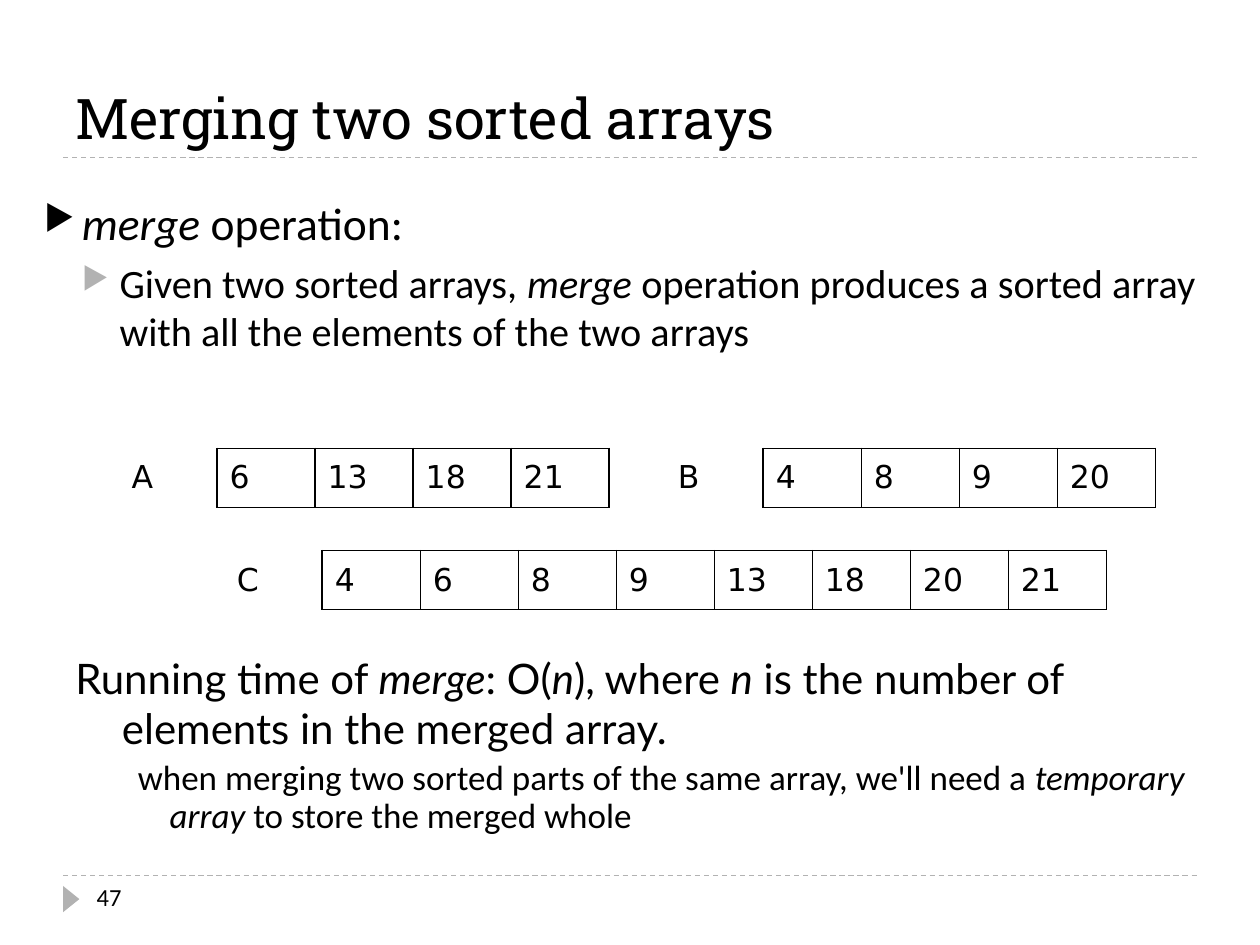
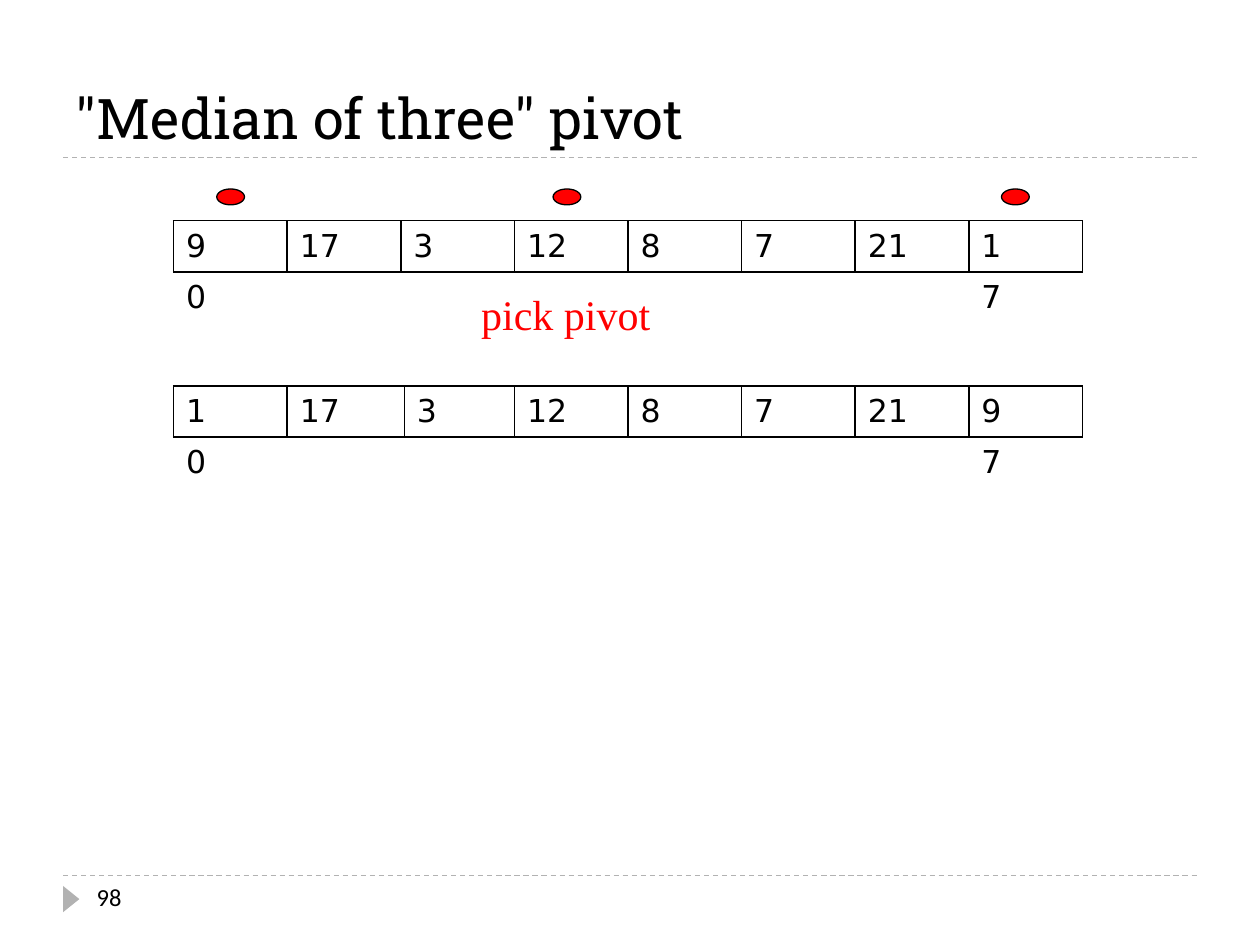
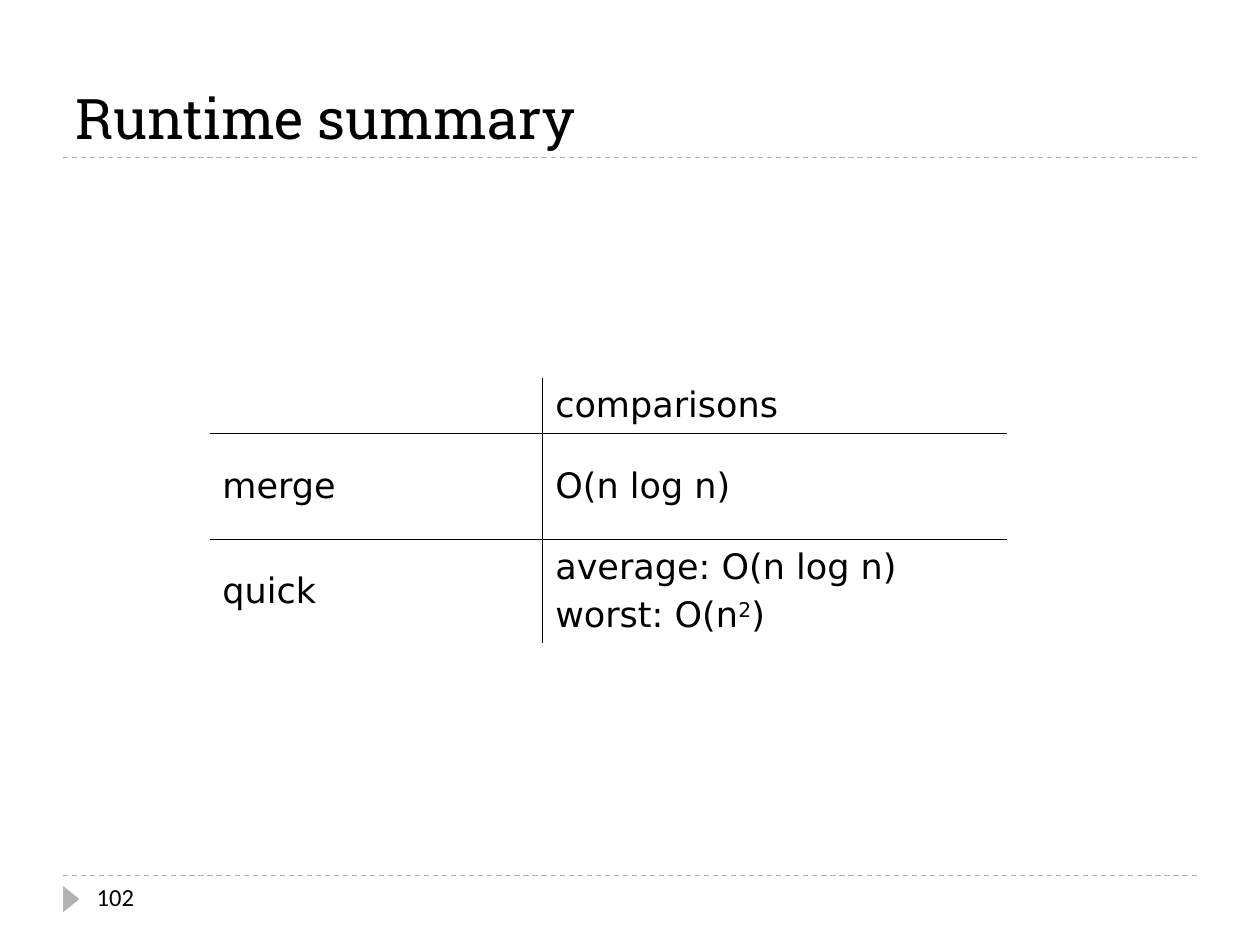
import pptx
import pptx.dml.color
import pptx.enum.dml
import pptx.enum.shapes
import pptx.enum.text
import pptx.oxml
import pptx.oxml.ns
import pptx.util
from pptx.util import Cm

BLACK = "000000"
GREY = "B2B2B2"
RED = "FF0000"
TITLE_FONT = "Roboto Slab"
BODY_FONT = "Calibri"
TABLE_FONT = "DejaVu Sans"
RULE_LEFT, RULE_RIGHT = 1.27, 24.13
TITLE_RULE, FOOTER_RULE = 3.18, 17.65
ALL_SIDES = "LRTB"


def color(hex_string):
    return pptx.dml.color.RGBColor.from_string(hex_string)


def element(xml):
    """Parse a drawing element written with the a: prefix."""
    head, mark, tail = xml.partition(">")
    if head.endswith("/"):
        head, mark = head[:-1], "/>"
    return pptx.oxml.parse_xml(f"{head} {pptx.oxml.ns.nsdecls('a')}{mark}{tail}")


def write_runs(paragraph, marked_text, size, font=BODY_FONT, hex_string=BLACK):
    """Write text in which *stars* enclose italics and ^carets^ a superscript."""
    for i, part in enumerate(marked_text.split("*")):
        for j, piece in enumerate(part.split("^")):
            if not piece:
                continue
            run = paragraph.add_run()
            run.text = piece
            run.font.name = font
            run.font.size = pptx.util.Pt(size)
            run.font.color.rgb = color(hex_string)
            run.font.italic = i % 2 == 1
            if j % 2:
                run.font._element.set("baseline", "30000")


def add_text_box(slide, left, top, width, height, wrap=True):
    text_frame = slide.shapes.add_textbox(
        Cm(left), Cm(top), Cm(width), Cm(height)).text_frame
    text_frame.word_wrap = wrap
    return text_frame


def indent(paragraph, margin, hanging):
    properties = paragraph._p.get_or_add_pPr()
    properties.set("marL", str(Cm(margin)))
    properties.set("indent", str(-Cm(hanging)))


def add_bullet(paragraph, hex_string):
    properties = paragraph._p.get_or_add_pPr()
    for xml in (f'<a:buClr><a:srgbClr val="{hex_string}"/></a:buClr>',
                '<a:buSzPct val="76000"/>',
                '<a:buChar char="▶"/>'):
        properties.append(element(xml))


def add_dashed_rule(slide, top):
    rule = slide.shapes.add_connector(
        pptx.enum.shapes.MSO_CONNECTOR.STRAIGHT,
        Cm(RULE_LEFT), Cm(top), Cm(RULE_RIGHT), Cm(top))
    rule.line.color.rgb = color(GREY)
    rule.line.width = pptx.util.Pt(0.75)
    rule.line.dash_style = pptx.enum.dml.MSO_LINE.DASH
    rule._element.spPr.append(element("<a:effectLst/>"))


def add_filled_shape(slide, kind, left, top, width, height, hex_string):
    shape = slide.shapes.add_shape(kind, Cm(left), Cm(top), Cm(width), Cm(height))
    shape.shadow.inherit = False
    shape.fill.solid()
    shape.fill.fore_color.rgb = color(hex_string)
    shape.line.fill.background()
    return shape


def add_slide(presentation, title, number):
    """Add a slide with its title, dashed rules, footer marker and number."""
    slide = presentation.slides.add_slide(presentation.slide_layouts[6])
    add_dashed_rule(slide, FOOTER_RULE)
    add_dashed_rule(slide, TITLE_RULE)
    marker = add_filled_shape(
        slide, pptx.enum.shapes.MSO_SHAPE.ISOSCELES_TRIANGLE,
        1.17, 17.96, 0.53, 0.33, GREY)
    marker.rotation = 90
    title_frame = add_text_box(slide, RULE_LEFT, 0.43, 22.86, 2.74)
    title_frame.vertical_anchor = pptx.enum.text.MSO_ANCHOR.BOTTOM
    write_runs(title_frame.paragraphs[0], title, 32, TITLE_FONT)
    number_frame = add_text_box(slide, 1.7, FOOTER_RULE, 5.51, 1.02)
    write_runs(number_frame.paragraphs[0], str(number), 14)
    return slide


def set_borders(cell, sides):
    """Draw the named sides (from LRTB) and hide the others."""
    properties = cell._tc.get_or_add_tcPr()
    for position, side in enumerate(ALL_SIDES):
        fill = (f'<a:solidFill><a:srgbClr val="{BLACK}"/></a:solidFill>'
                if side in sides else "<a:noFill/>")
        properties.insert(position, element(f'<a:ln{side} w="12700">{fill}</a:ln{side}>'))


def add_grid(slide, left, top, widths, heights, rows, size, sides_of):
    """Add a table; sides_of(row, column) names the borders of a cell."""
    table = slide.shapes.add_table(
        len(heights), len(widths), Cm(left), Cm(top),
        Cm(sum(widths)), Cm(sum(heights))).table
    table.first_row = table.horz_banding = False
    for column, width in zip(table.columns, widths):
        column.width = Cm(width)
    for row, height in zip(table.rows, heights):
        row.height = Cm(height)
    for i, texts in enumerate(rows):
        for j, text in enumerate(texts):
            cell = table.cell(i, j)
            cell.fill.background()
            cell.vertical_anchor = pptx.enum.text.MSO_ANCHOR.MIDDLE
            set_borders(cell, sides_of(i, j))
            for k, line in enumerate(text.split("\n")):
                paragraph = cell.text_frame.paragraphs[0]
                if k:
                    paragraph = cell.text_frame.add_paragraph()
                    paragraph.space_before = pptx.util.Pt(size * 0.2)
                write_runs(paragraph, line, size, TABLE_FONT)


def add_labelled_array(slide, left, top, label, values):
    """One boxed row of values with an unboxed label in front."""
    texts = [label] + [str(value) for value in values]
    add_grid(slide, left, top, [1.976] * len(texts), [1.19], [texts], 18,
             lambda row, column: ALL_SIDES if column else "R")


def add_indexed_array(slide, top, widths, values):
    """One boxed row of values with the first and last index below."""
    last = len(values) - 1
    indexes = ["0"] + [""] * (last - 1) + [str(last)]
    add_grid(slide, 3.5, top, widths, [1.03] * 2,
             [[str(value) for value in values], indexes], 18,
             lambda row, column: "T" if row else ALL_SIDES)


def add_pivot_dots(slide, positions):
    for position in positions:
        dot = add_filled_shape(
            slide, pptx.enum.shapes.MSO_SHAPE.OVAL,
            4.37 + 2.26 * position, 3.81, 0.56, 0.32, RED)
        dot.line.color.rgb = color(BLACK)
        dot.line.width = pptx.util.Pt(0.75)


def build_merging(presentation):
    slide = add_slide(presentation, "Merging two sorted arrays", 47)
    body = add_text_box(slide, 0.64, 3.81, 23.93, 4.44)
    heading = body.paragraphs[0]
    indent(heading, 0.76, 0.76)
    add_bullet(heading, BLACK)
    write_runs(heading, "*merge *operation:", 26)
    detail = body.add_paragraph()
    detail.level = 1
    detail.space_before = pptx.util.Pt(5)
    indent(detail, 1.52, 0.76)
    add_bullet(detail, GREY)
    write_runs(detail, "Given two sorted arrays, *merge* operation produces a sorted "
               "array with all the elements of the two arrays", 23)

    first, second = [6, 13, 18, 21], [4, 8, 9, 20]
    add_labelled_array(slide, 2.4, 9.04, "A", first)
    add_labelled_array(slide, 13.41, 9.04, "B", second)
    add_labelled_array(slide, 4.52, 11.1, "C", sorted(first + second))

    notes = add_text_box(slide, 1.27, 13.03, 23.06, 4.04)
    running_time = notes.paragraphs[0]
    indent(running_time, 0.94, 0.94)
    write_runs(running_time, "Running time of *merge*: O(*n*), where *n* is the number of "
               "elements in the merged array.", 24, "Lato")
    storage = notes.add_paragraph()
    storage.level = 1
    storage.line_spacing = 0.9
    storage.space_before = pptx.util.Pt(4)
    indent(storage, 1.9, 0.64)
    write_runs(storage, "when merging two sorted parts of the same array, we'll need a "
               "*temporary array *to store the merged whole", 20)


def build_median_of_three(presentation):
    slide = add_slide(presentation, '"Median of three" pivot', 98)
    cell = 2.29
    add_indexed_array(slide, 4.45, [cell] * 8, [9, 17, 3, 12, 8, 7, 21, 1])
    add_indexed_array(slide, 7.78, [cell, 2.36, 2.22] + [cell] * 5,
                      [1, 17, 3, 12, 8, 7, 21, 9])
    caption = add_text_box(slide, 9.45, 5.69, 3.91, 1.27, wrap=False)
    write_runs(caption.paragraphs[0], "pick pivot", 24, "Times New Roman", RED)
    add_pivot_dots(slide, [0, 3, 7])


def build_runtime_summary(presentation):
    slide = add_slide(presentation, "Runtime summary", 102)
    rows = [["", "comparisons"],
            ["merge", "O(n log n)"],
            ["quick", "average: O(n log n)\nworst: O(n^2^)"]]

    def inner_sides(row, column):
        return ("L" if column else "R") + ("T" if row else "") + ("B" if row < 2 else "")

    add_grid(slide, 4.23, 7.62, [6.71, 9.37], [1.12, 2.14, 2.03], rows, 20, inner_sides)


def main():
    presentation = pptx.Presentation()
    presentation.slide_width = Cm(25.4)
    presentation.slide_height = Cm(19.05)
    build_merging(presentation)
    build_median_of_three(presentation)
    build_runtime_summary(presentation)
    presentation.save("out.pptx")


if __name__ == "__main__":
    main()
